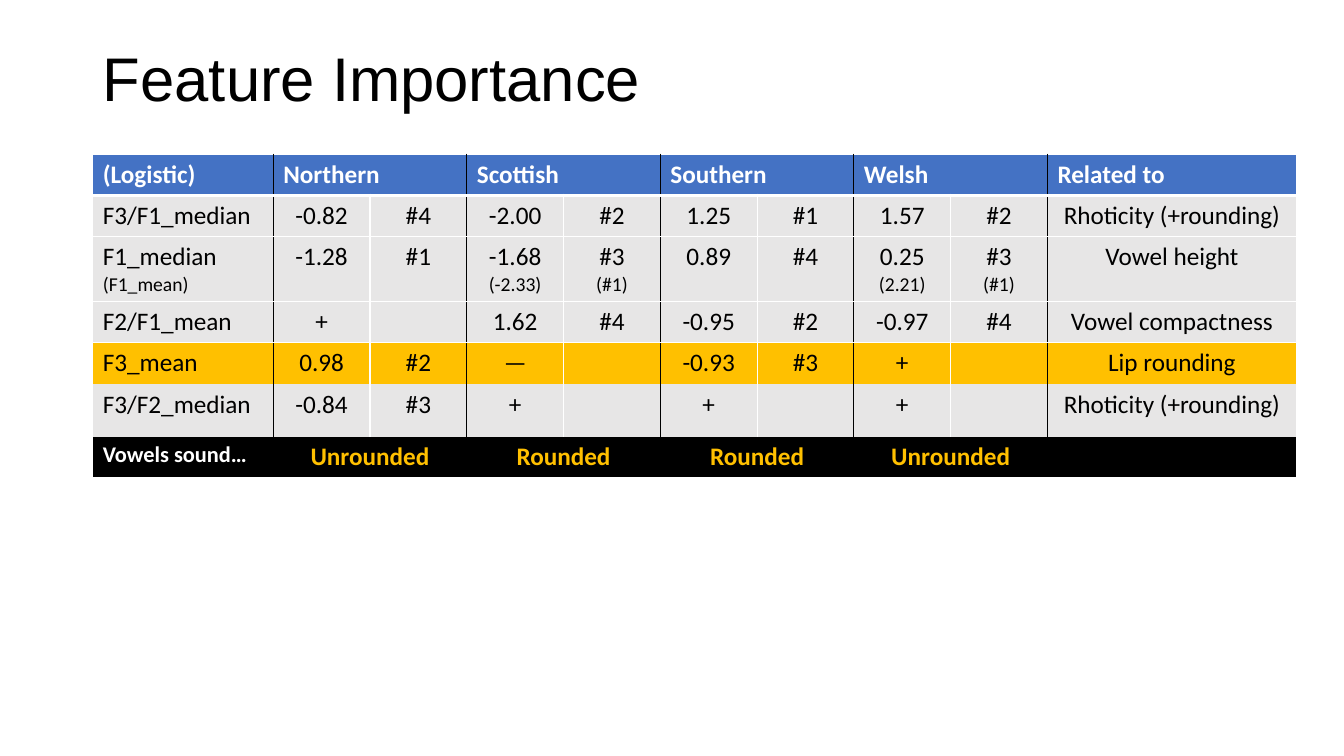
from lxml.etree import SubElement
from pptx import Presentation
from pptx.dml.color import RGBColor
from pptx.enum.text import MSO_ANCHOR, MSO_AUTO_SIZE, PP_ALIGN
from pptx.oxml.ns import qn
from pptx.util import Pt

PX = 9144  # 100 px to the inch

COLORS = {
    "black": "000000",
    "white": "FFFFFF",
    "header": "4472C4",
    "body": "E7E6E6",
    "highlight": "FFC000",
}

ROWS = [
    ["(Logistic)", "Northern", "", "Scottish", "", "Southern", "", "Welsh", "", "Related to"],
    ["F3/F1_median", "-0.82", "#4", "-2.00", "#2", "1.25", "#1", "1.57", "#2", "Rhoticity (+rounding)"],
    ["F1_median\n(F1_mean)", "-1.28", "#1", "-1.68\n(-2.33)", "#3\n(#1)", "0.89", "#4",
     "0.25\n(2.21)", "#3\n(#1)", "Vowel height"],
    ["F2/F1_mean", "+", "", "1.62", "#4", "-0.95", "#2", "-0.97", "#4", "Vowel compactness"],
    ["F3_mean", "0.98", "#2", "—", "", "-0.93", "#3", "+", "", "Lip rounding"],
    ["F3/F2_median", "-0.84", "#3", "+", "", "+", "", "+", "", "Rhoticity (+rounding)"],
    ["Vowels sound…", "Unrounded", "", "Rounded", "", "Rounded", "", "Unrounded", "", ""],
]
COLUMN_WIDTHS = [179] + [96] * 8 + [247]
ROW_HEIGHTS = [41, 41, 41, 41, 41, 52, 41]
HEADER_ROW, HIGHLIGHT_ROW, SOUND_ROW = 0, 4, 6
ACCENT_COLUMNS = range(1, 9, 2)
# Line width in points above each row, and below the last one; 0 is no line
HORIZONTAL_LINES = [1, 3, 1, 1, 1, 0, 0, 1]


def write(text_frame, text, size=18, later_size=14, font="Calibri", color="black",
          bold=False, align=PP_ALIGN.LEFT, line_spacing=None):
    """Write one paragraph per line; lines after the first use later_size."""
    for index, line in enumerate(text.split("\n")):
        paragraph = text_frame.add_paragraph() if index else text_frame.paragraphs[0]
        paragraph.alignment = align
        paragraph.line_spacing = line_spacing
        run = paragraph.add_run()
        run.text = line
        run.font.name = font
        run.font.size = Pt(later_size if index else size)
        run.font.bold = bold
        run.font.color.rgb = RGBColor.from_string(COLORS[color])


def add_border(cell, side, color, width):
    properties = cell._tc.get_or_add_tcPr()
    line = SubElement(properties, qn(f"a:ln{side}"), w=str(Pt(width)))
    if width:
        fill = SubElement(line, qn("a:solidFill"))
        SubElement(fill, qn("a:srgbClr"), val=COLORS[color])
    else:
        SubElement(line, qn("a:noFill"))


presentation = Presentation()
presentation.slide_width = 1333 * PX
presentation.slide_height = 750 * PX
slide = presentation.slides.add_slide(presentation.slide_layouts[5])

title = slide.shapes.title
title.left, title.top, title.width, title.height = 92 * PX, 8 * PX, 1150 * PX, 145 * PX
title.text_frame.vertical_anchor = MSO_ANCHOR.MIDDLE
title.text_frame.auto_size = MSO_AUTO_SIZE.NONE
write(title.text_frame, "Feature Importance", size=44, font="Arial", line_spacing=0.9)

table = slide.shapes.add_table(
    len(ROWS), len(COLUMN_WIDTHS), 92 * PX, 153 * PX,
    sum(COLUMN_WIDTHS) * PX, sum(ROW_HEIGHTS) * PX).table
table.horz_banding = False
for column, width in zip(table.columns, COLUMN_WIDTHS):
    column.width = width * PX
for row, height in zip(table.rows, ROW_HEIGHTS):
    row.height = height * PX
for row_index in (HEADER_ROW, SOUND_ROW):
    for column_index in ACCENT_COLUMNS:
        table.cell(row_index, column_index).merge(table.cell(row_index, column_index + 1))

row_fills = {HEADER_ROW: "header", HIGHLIGHT_ROW: "highlight", SOUND_ROW: "black"}
last_column = len(COLUMN_WIDTHS) - 1

for row_index, texts in enumerate(ROWS):
    for column_index, text in enumerate(texts):
        cell = table.cell(row_index, column_index)
        if cell.is_spanned:
            continue

        starts_group = column_index in ACCENT_COLUMNS or column_index == last_column
        ends_group = column_index < last_column and (column_index % 2 == 0 or cell.is_merge_origin)
        add_border(cell, "L", "black" if starts_group else "white", 1)
        add_border(cell, "R", "black" if ends_group else "white", 1)
        add_border(cell, "T", "white", HORIZONTAL_LINES[row_index])
        add_border(cell, "B", "white", HORIZONTAL_LINES[row_index + 1])
        cell.fill.solid()
        cell.fill.fore_color.rgb = RGBColor.from_string(COLORS[row_fills.get(row_index, "body")])

        if not text:
            continue
        is_label = column_index == 0
        style = {"align": PP_ALIGN.LEFT if is_label else PP_ALIGN.CENTER}
        if row_index == HEADER_ROW:
            style = {"color": "white", "bold": True}
        elif row_index == SOUND_ROW:
            style.update(color="white" if is_label else "highlight",
                         bold=True, size=16 if is_label else 18)
        write(cell.text_frame, text, **style)

presentation.save("out.pptx")
